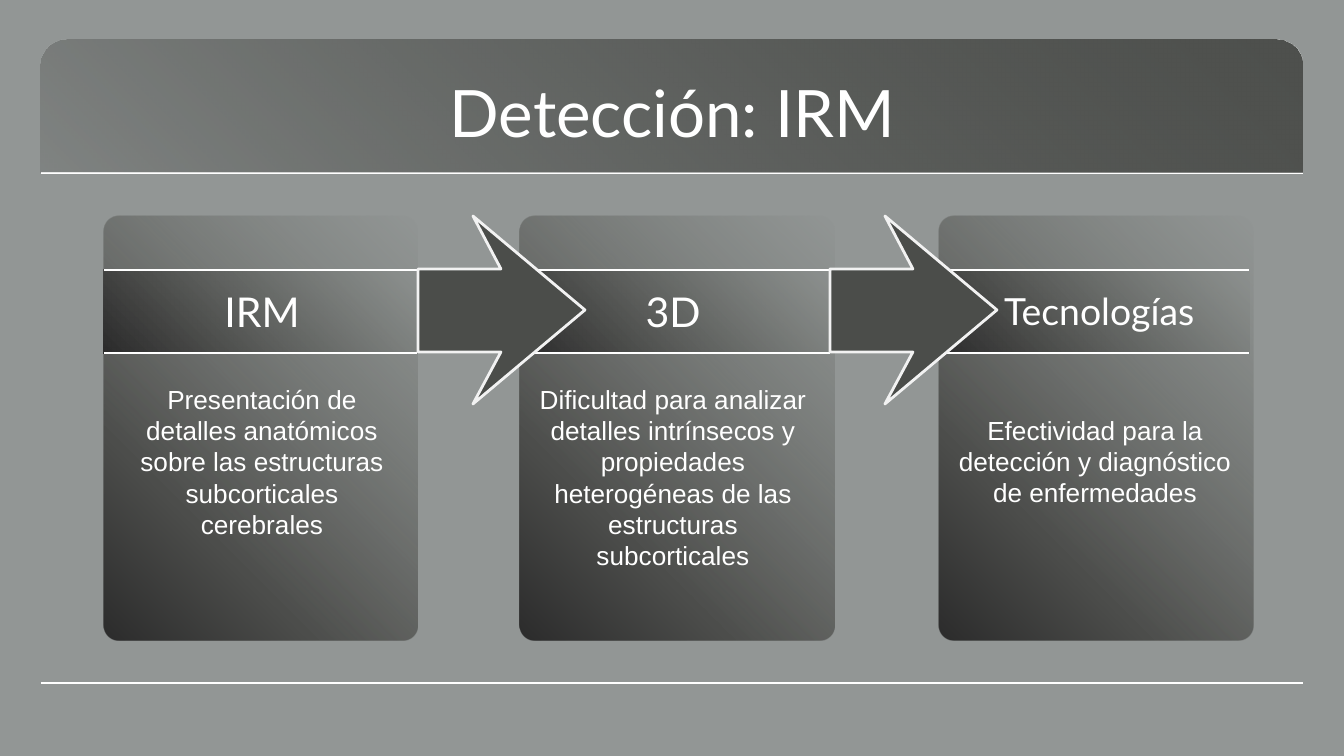
"""Build the slide on MRI detection with three linked cards."""
from lxml import etree
from pptx import Presentation, util as u
from pptx.dml.color import RGBColor
from pptx.enum import shapes, text
from pptx.oxml.ns import qn

SCALE = 914400 / 134.4
COLORS = {
    "background": "929695",
    "slate": "4B4D4A",
    "ash": "6C6F6A",
    "graphite": "4C4D4B",
    "coal": "2B2B2B",
    "white": "FFFFFF",
    "edge": "F2F2F2",
}
HEADER_FILL = [(0, "slate", 13), (100, "slate", 80)]
CARD_FILL = [(0, "ash", 0), (72, "graphite", 100), (100, "coal", 100)]
BAND_FILL = [(0, "ash", 0), (100, "coal", 100)]
ARROW_POINTS = [(55, 0), (83, 53), (0, 53), (0, 136), (83, 136), (55, 188), (167, 94)]
STEPS = [
    (104, 104, 109, "IRM", 22, 30,
     "Presentación de detalles anatómicos sobre las estructuras subcorticales cerebrales"),
    (520, 517, 520, "3D", 22, 30,
     "Dificultad para analizar detalles intrínsecos y propiedades heterogéneas de las "
     "estructuras subcorticales"),
    (939, 936, 942, " Tecnologías", 20, 61,
     "Efectividad para la detección y diagnóstico de enfermedades"),
]


def px(length):
    """Turn pixels into EMU."""
    return u.Emu(round(length * SCALE))


def rgb(name):
    """Look up a named colour."""
    return RGBColor.from_string(COLORS[name])


class Deck:
    """Holds the style and the current slide."""

    def __init__(self, width, height):
        """Start a presentation with one title-only slide."""
        self.prs = Presentation()
        self.prs.slide_width, self.prs.slide_height = px(width), px(height)
        self.slide = self.prs.slides.add_slide(self.prs.slide_layouts[5])
        self.slide.background.fill.solid()
        self.slide.background.fill.fore_color.rgb = rgb("background")

    def panel(self, kind, box, corners, stops, angle):
        """Add a borderless shape with a translucent gradient."""
        panel = self.slide.shapes.add_shape(kind, *map(px, box))
        panel.shadow.inherit = False
        panel.line.fill.background()
        for index, corner in enumerate(corners):
            panel.adjustments[index] = corner
        panel.fill.gradient()
        gradient = panel.element.spPr.find(qn("a:gradFill"))
        stop_list = gradient.find(qn("a:gsLst"))
        for stop in list(stop_list):
            stop_list.remove(stop)
        for position, color, opacity in stops:
            stop = etree.SubElement(stop_list, qn("a:gs"), pos=str(position * 1000))
            tint = etree.SubElement(stop, qn("a:srgbClr"), val=COLORS[color])
            etree.SubElement(tint, qn("a:alpha"), val=str(opacity * 1000))
        gradient.find(qn("a:lin")).set("ang", str(angle * 60000))

    def rule(self, left, right, y):
        """Add a thin horizontal white line."""
        rule = self.slide.shapes.add_connector(
            shapes.MSO_CONNECTOR.STRAIGHT, px(left), px(y), px(right), px(y))
        rule.line.color.rgb = rgb("white")
        rule.line.width = u.Pt(0.75)
        etree.SubElement(rule.element.spPr, qn("a:effectLst"))

    def arrow(self, left, top):
        """Add a notched arrow."""
        start, *rest = [(left + x, top + y) for x, y in ARROW_POINTS]
        builder = self.slide.shapes.build_freeform(*start, scale=SCALE)
        builder.add_line_segments(rest, close=True)
        arrow = builder.convert_to_shape()
        arrow.shadow.inherit = False
        arrow.fill.solid()
        arrow.fill.fore_color.rgb = rgb("slate")
        arrow.line.color.rgb = rgb("edge")
        arrow.line.width = u.Pt(1.5)

    def title(self, box, words, size):
        """Place the title placeholder in front of the header."""
        title = self.slide.shapes.title
        title.left, title.top, title.width, title.height = map(px, box)
        self.slide.shapes.element.append(title.element)
        self.set_words(title.text_frame, words, size, "Lato")

    def label(self, box, words, size, font, inset=None):
        """Add a text box, hung from the top when an inset is given."""
        label = self.slide.shapes.add_textbox(*map(px, box))
        self.set_words(label.text_frame, words, size, font)
        if inset is not None:
            label.text_frame.margin_top = px(inset)
            label.text_frame.vertical_anchor = text.MSO_ANCHOR.TOP

    def set_words(self, frame, words, size, font):
        """Fill a frame with centred white text."""
        frame.text = words
        frame.word_wrap = True
        frame.auto_size = text.MSO_AUTO_SIZE.NONE
        frame.vertical_anchor = text.MSO_ANCHOR.MIDDLE
        frame.margin_left = frame.margin_right = u.Inches(0.1)
        frame.margin_top = frame.margin_bottom = u.Inches(0.1)
        paragraph = frame.paragraphs[0]
        paragraph.alignment = text.PP_ALIGN.CENTER
        for run in paragraph.runs:
            run.font.size = u.Pt(size)
            run.font.name = font
            run.font.color.rgb = rgb("white")


def main():
    """Build and save the slide."""
    deck = Deck(1344, 756)
    for rule_y in (173, 683):
        deck.panel(shapes.MSO_SHAPE.ROUND_2_SAME_RECTANGLE, (41, 40, 1262, 133),
                   (0.194, 0), HEADER_FILL, 315)
        deck.rule(41, 1303, rule_y)
    rounded = shapes.MSO_SHAPE.ROUNDED_RECTANGLE
    for card_x, band_x, text_x, heading, size, inset, detail in STEPS:
        deck.panel(rounded, (card_x, 216, 314, 424), (0.05,), CARD_FILL, 135)
        deck.panel(rounded, (band_x, 270, 313, 83), (0,), BAND_FILL, 135)
        for rule_y in (270, 353):
            deck.rule(band_x, band_x + 313, rule_y)
        deck.label((text_x, 281, 306, 60), heading, size, "Lato")
        deck.label((text_x, 353, 306, 121), detail, 14, "Arial", inset)
    deck.title((106, 73, 1133, 77), "Detección: IRM", 35)
    for arrow_x in (418, 830):
        deck.arrow(arrow_x, 216)
    deck.prs.save("out.pptx")


if __name__ == "__main__":
    main()
